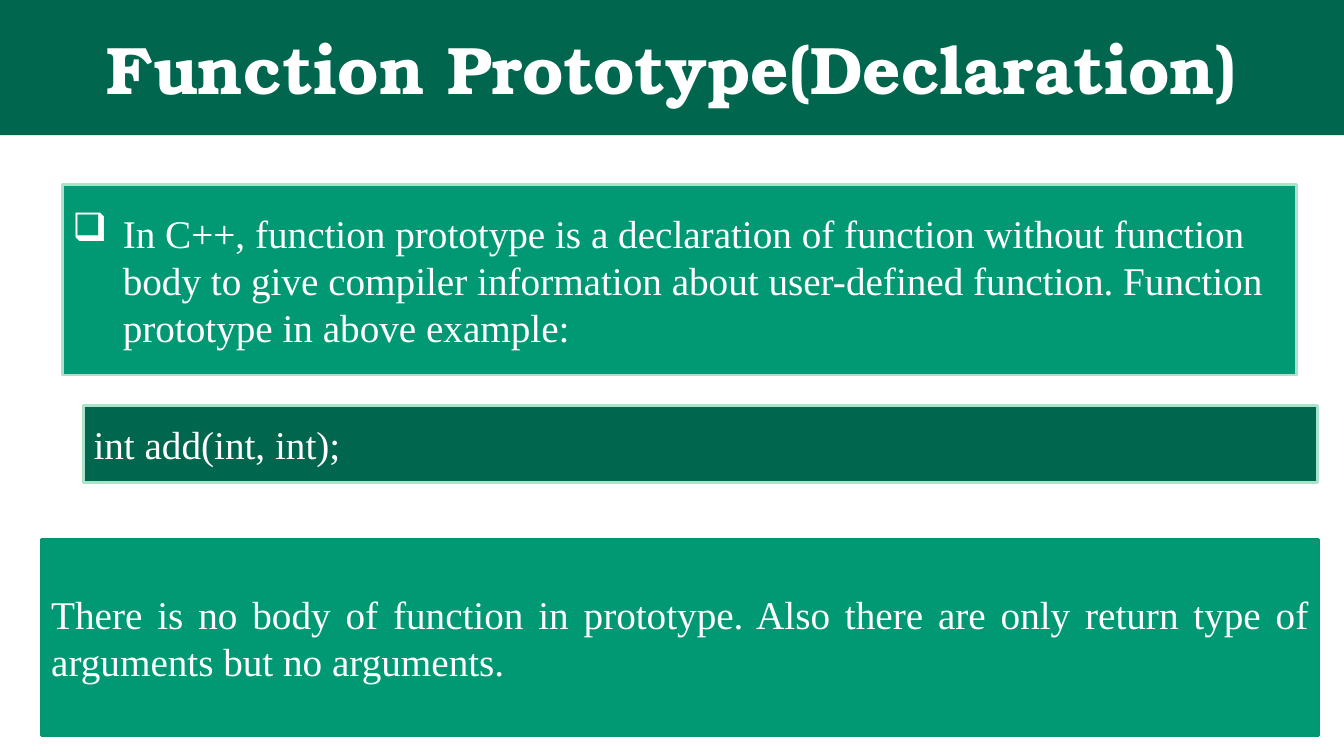
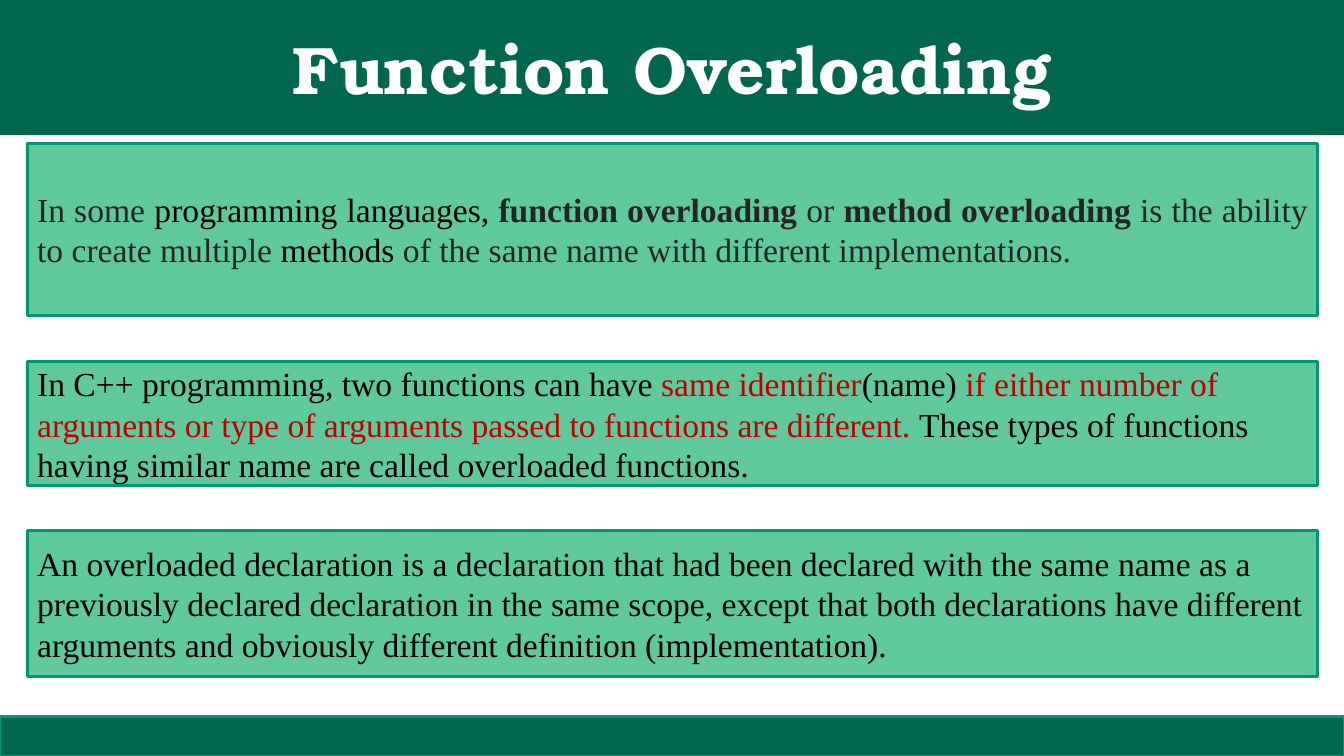
from lxml import etree
from pptx import Presentation
from pptx.dml.color import RGBColor
from pptx.enum import shapes, text
from pptx.oxml import ns
from pptx.util import Inches, Pt

WHITE = RGBColor(0xFF, 0xFF, 0xFF)
BLACK = RGBColor(0x00, 0x00, 0x00)
CHARCOAL = RGBColor(0x25, 0x25, 0x25)
RED = RGBColor(0xC0, 0x00, 0x00)
DARK_GREEN = RGBColor(0x00, 0x66, 0x4D)
GREEN = RGBColor(0x00, 0x99, 0x73)
EDGE_GREEN = RGBColor(0x00, 0x97, 0x71)
LIGHT_GREEN = RGBColor(0x60, 0xC9, 0x9C)
PALE_GREEN = RGBColor(0xAA, 0xE2, 0xCA)

TITLE_FONT = "TeX Gyre Bonum"
BODY_FONT = "Times New Roman"
WIDTH, HEIGHT = 13.33, 7.5
LEFT = text.PP_ALIGN.LEFT
CENTER = text.PP_ALIGN.CENTER
JUSTIFY = text.PP_ALIGN.JUSTIFY


class SlideBuilder:
    def __init__(self):
        self.deck = Presentation()
        self.deck.slide_width = Inches(WIDTH)
        self.deck.slide_height = Inches(HEIGHT)
        self.page = None

    def start(self, title):
        """Add a slide with its title band."""
        self.page = self.deck.slides.add_slide(self.deck.slide_layouts[6])
        band = self.panel(0, 0, WIDTH, 1.34, DARK_GREEN)
        self.add_text(band, [(title, WHITE, True)], 48, CENTER, TITLE_FONT)

    def panel(self, left, top, width, height, fill, edge=None):
        box = self.page.shapes.add_shape(
            shapes.MSO_SHAPE.RECTANGLE,
            *(Inches(length) for length in (left, top, width, height)))
        box.shadow.inherit = False
        box.fill.solid()
        box.fill.fore_color.rgb = fill
        if edge is None:
            box.line.fill.background()
        else:
            box.line.color.rgb = edge
            box.line.width = Pt(2)
        return box

    def add_text(self, box, spans, size, align=LEFT, font=BODY_FONT):
        """Fill the box with one paragraph of (words, colour, bold) spans."""
        frame = box.text_frame
        frame.word_wrap = True
        frame.vertical_anchor = text.MSO_ANCHOR.MIDDLE
        para = frame.paragraphs[0]
        para.alignment = align
        for words, color, bold in spans:
            span = para.add_run()
            span.text = words
            span.font.color.rgb = color
            style = {"name": font, "size": Pt(size), "bold": bold}
            for name, value in style.items():
                setattr(span.font, name, value)
        return para

    def bullet(self, para, symbol, indent):
        props = para._p.get_or_add_pPr()
        props.set("marL", str(Inches(indent)))
        props.set("indent", str(-Inches(indent)))
        etree.SubElement(props, ns.qn("a:buChar")).set("char", symbol)

    def footer(self):
        self.panel(0, 7.11, WIDTH, 0.39, DARK_GREEN, EDGE_GREEN)


def build_prototype(builder):
    builder.start("Function Prototype(Declaration)")
    definition = builder.panel(0.62, 1.83, 12.24, 1.89, GREEN, PALE_GREEN)
    para = builder.add_text(definition, [(
        "In C++, function prototype is a declaration of function without "
        "function body to give compiler information about user-defined "
        "function. Function prototype in above example:", WHITE, False)], 28)
    builder.bullet(para, "❑", 0.5)

    remark = builder.panel(0.41, 5.35, 12.67, 1.95, GREEN, EDGE_GREEN)
    builder.add_text(remark, [(
        "There is no body of function in prototype. Also there are only "
        "return type of arguments but no arguments.", WHITE, False)],
        28, JUSTIFY)

    code = builder.panel(0.83, 4.02, 12.24, 0.77, DARK_GREEN, PALE_GREEN)
    builder.add_text(code, [("int add(int, int);", WHITE, False)], 28)


def build_overloading(builder):
    builder.start("Function Overloading")
    builder.footer()
    meaning = [
        ("In some ", CHARCOAL, False),
        ("programming languages, ", BLACK, False),
        ("function overloading", CHARCOAL, True),
        (" or ", CHARCOAL, False),
        ("method overloading", CHARCOAL, True),
        (" is the ability to create multiple ", CHARCOAL, False),
        ("methods", BLACK, False),
        (" of the same name with different implementations.",
         CHARCOAL, False),
    ]
    rule = [
        ("In C++ programming, two functions can have ", BLACK, False),
        ("same identifier", RED, False),
        ("(name) ", BLACK, False),
        ("if either number of arguments or type of arguments passed to "
         "functions are different. ", RED, False),
        ("These types of functions having similar name are called "
         "overloaded functions.", BLACK, False),
    ]
    declaration = [(
        "An overloaded declaration is a declaration that had been declared "
        "with the same name as a previously declared declaration in the same "
        "scope, except that both declarations have different arguments and "
        "obviously different definition (implementation).", BLACK, False)]
    for top, height, spans, align in (
            (1.42, 1.71, meaning, JUSTIFY),
            (3.59, 1.23, rule, LEFT),
            (5.26, 1.45, declaration, LEFT)):
        box = builder.panel(0.27, top, 12.8, height, LIGHT_GREEN, EDGE_GREEN)
        builder.add_text(box, spans, 24, align)


def main():
    builder = SlideBuilder()
    build_prototype(builder)
    build_overloading(builder)
    builder.deck.save("out.pptx")


if __name__ == "__main__":
    main()
